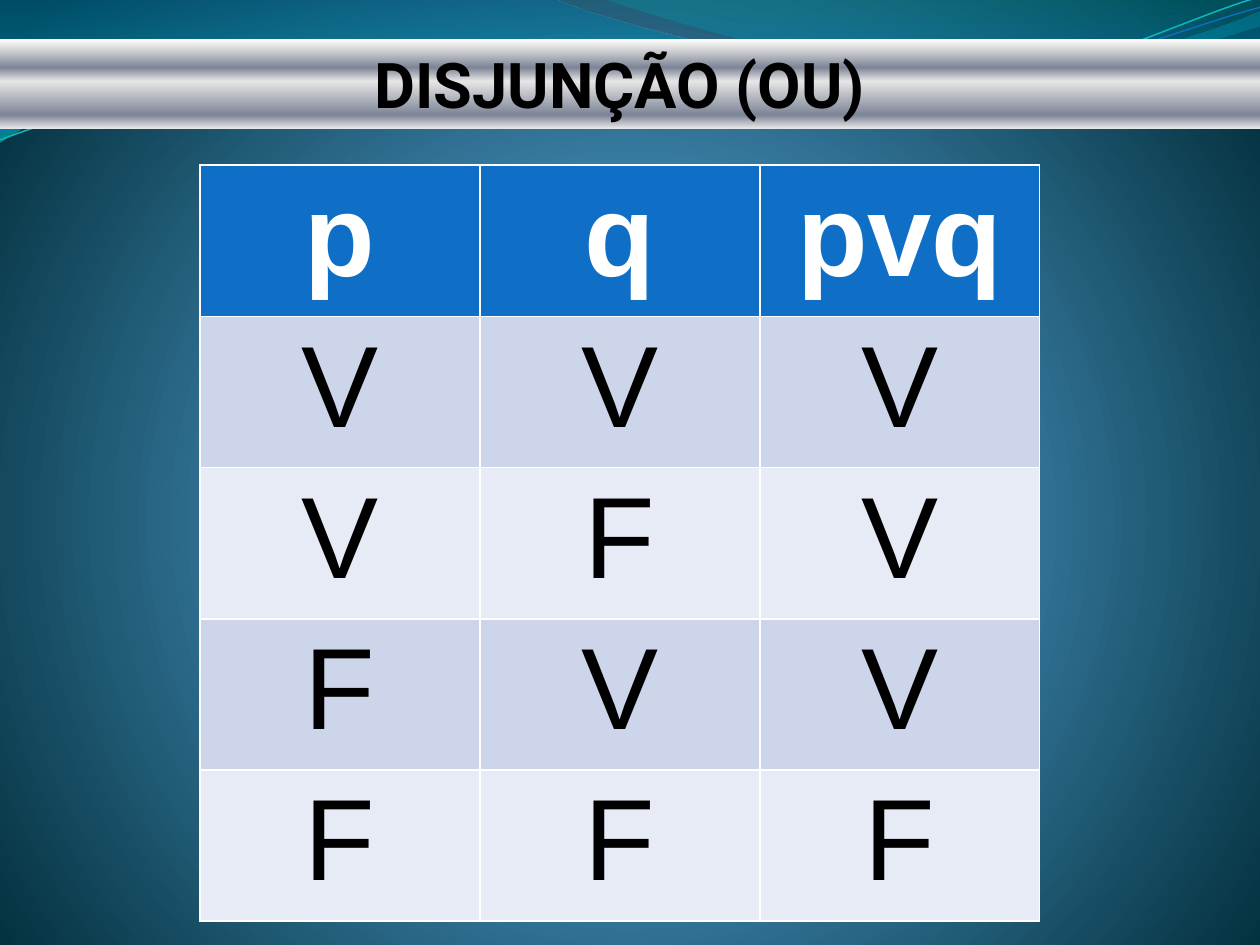
"""Build the truth-table slide for logical disjunction."""
from dataclasses import dataclass
from itertools import product
from math import cos, radians, sin

from lxml.etree import SubElement
from pptx import Presentation
from pptx.dml.color import RGBColor
from pptx.enum.shapes import MSO_SHAPE
from pptx.enum.text import MSO_ANCHOR, PP_ALIGN
from pptx.oxml.ns import qn
from pptx.util import Cm, Pt


@dataclass(frozen=True)
class Theme:
    black: str = "000000"
    white: str = "FFFFFF"
    header: str = "0F6FC6"
    bands: tuple = ("CCD5EA", "E7EBF5")
    teal: str = "0AB8BF"
    backdrop: tuple = ((0, "4AA0D6", 100), (25, "4C98C7", 100), (100, "002C38", 100))
    wide_wave: tuple = ((0, "0074A1", 45), (100, "00C6CF", 55))
    right_wave: tuple = ((0, "00A1A9", 30), (80, "008BBF", 45))
    metal: tuple = ((0, "FFFFFF", 100), (7, "E6E6E6", 100), (32, "7D8496", 100),
                    (47, "E6E6E6", 100), (85, "7D8496", 100), (100, "E6E6E6", 100))
    title_font: str = "Roboto"
    table_font: str = "Arial"
    title_size: int = 36
    table_size: int = 66


class SlideBuilder:
    def __init__(self, slide, theme):
        self.slide = slide
        self.theme = theme

    def gradient(self, owner, element, stops, center=None):
        owner.fill.solid()
        solid = element.find(".//" + qn("a:solidFill"))
        grad = solid.makeelement(qn("a:gradFill"), {"rotWithShape": "1"})
        stop_list = SubElement(grad, qn("a:gsLst"))
        for position, color, opacity in stops:
            stop = SubElement(stop_list, qn("a:gs"), pos=str(position * 1000))
            tint = SubElement(stop, qn("a:srgbClr"), val=color)
            if opacity < 100:
                SubElement(tint, qn("a:alpha"), val=str(opacity * 1000))
        if center:
            circle = SubElement(grad, qn("a:path"), {"path": "circle"})
            SubElement(circle, qn("a:fillToRect"),
                       {side: str(share * 1000) for side, share in zip("ltrb", center)})
        else:
            SubElement(grad, qn("a:lin"), ang="5400000", scaled="0")
        solid.getparent().replace(solid, grad)

    def background(self, stops, center):
        self.gradient(self.slide.background, self.slide.element, stops, center)

    def style_text(self, paragraph, text, font, size, color, bold):
        paragraph.text = text
        paragraph.alignment = PP_ALIGN.CENTER
        paragraph.font.name = font
        paragraph.font.size = Pt(size)
        paragraph.font.bold = bold
        paragraph.font.color.rgb = RGBColor.from_string(color)

    def outline(self, start, segments, closed):
        points = [start]
        for segment in segments:
            points += zip(segment[::2], segment[1::2])
        corners = [(Cm(x), Cm(y)) for x, y in points]
        builder = self.slide.shapes.build_freeform(*corners[0])
        builder.add_line_segments(corners[1:], close=closed)
        shape = builder.convert_to_shape()
        shape.shadow.inherit = False
        steps = iter(list(shape.element.iter(qn("a:lnTo"))))
        for segment in segments:
            step = next(steps)
            if len(segment) == 6:
                bend = step.makeelement(qn("a:cubicBezTo"), {})
                step.addprevious(bend)
                for knot in (step, next(steps), next(steps)):
                    bend.append(knot[0])
                    knot.getparent().remove(knot)
        return shape

    def wave(self, start, segments, stops):
        shape = self.outline(start, segments, True)
        self.gradient(shape, shape.element, stops)
        shape.line.fill.background()

    def ribbon(self, start, segments, pivot, color, width, tilt=2.7):
        def level(points):
            turned = []
            for x, y in zip(points[::2], points[1::2]):
                dx, dy = x - pivot[0], y - pivot[1]
                turned += [pivot[0] + dx * cos(radians(tilt)) - dy * sin(radians(tilt)),
                           pivot[1] + dx * sin(radians(tilt)) + dy * cos(radians(tilt))]
            return tuple(turned)

        shape = self.outline(level(start), [level(segment) for segment in segments], False)
        shape.rotation = 360 - tilt
        shape.fill.background()
        shape.line.color.rgb = RGBColor.from_string(color)
        shape.line.width = Pt(width)

    def title_bar(self, text, left, top, width, height):
        bar = self.slide.shapes.add_shape(
            MSO_SHAPE.RECTANGLE, Cm(left), Cm(top), Cm(width), Cm(height))
        bar.shadow.inherit = False
        bar.line.fill.background()
        self.gradient(bar, bar.element, self.theme.metal)
        bar.text_frame.vertical_anchor = MSO_ANCHOR.MIDDLE
        self.style_text(bar.text_frame.paragraphs[0], text, self.theme.title_font,
                        self.theme.title_size, self.theme.black, True)

    def truth_table(self, rows, left, top, width, height):
        theme = self.theme
        table = self.slide.shapes.add_table(
            len(rows), len(rows[0]), Cm(left), Cm(top), Cm(width), Cm(height)).table
        for row, column in product(range(len(rows)), range(len(rows[0]))):
            cell = table.cell(row, column)
            is_header = row == 0
            cell.fill.solid()
            cell.fill.fore_color.rgb = RGBColor.from_string(
                theme.header if is_header else theme.bands[(row - 1) % 2])
            self.style_text(cell.text_frame.paragraphs[0], rows[row][column],
                            theme.table_font, theme.table_size,
                            theme.white if is_header else theme.black, is_header)


theme = Theme()
deck = Presentation()
deck.slide_width, deck.slide_height = Cm(25.4), Cm(19.05)
page = SlideBuilder(deck.slides.add_slide(deck.slide_layouts[6]), theme)

page.background(theme.backdrop, (10, 110, 10, 100))
page.wave((0, 0), [
    (11.18, -0.03), (12.09, 0.43, 16.87, 1.6, 19.25, 1.6),
    (21.67, 1.6, 24.33, 0.66, 25.4, 0.23), (25.43, 0.91),
    (24.97, 1.12, 22.1, 1.93, 18.95, 1.91), (15.8, 1.91, 9.7, 0.71, 6.53, 0.86),
    (3.28, 0.91, 1.17, 2.11, -0.03, 2.87)], theme.wide_wave)
page.wave((12.17, -0.03), [
    (12.93, 0.28, 17.32, 1.57, 19.53, 1.65),
    (21.74, 1.75, 24.41, 0.81, 25.4, 0.53), (25.4, 0)], theme.right_wave)
page.ribbon((0, 2.82), [
    (1.22, 2.36, 4.01, 1.45, 7.04, 1.32), (10.03, 1.19, 15.06, 2.26, 18.11, 2.03),
    (21.16, 1.8, 23.83, 0.38, 25.35, -0.05)], (12.67, 1.46), theme.teal, 0.85)
page.ribbon((0, 2.64), [
    (1.19, 2.44, 4.17, 1.55, 7.19, 1.42), (10.24, 1.3, 15.16, 2.13, 18.21, 1.9),
    (21.23, 1.7, 23.9, 0.53, 25.4, 0.15)], (12.69, 1.5), theme.header, 0.75)
page.title_bar("DISJUNÇÃO (OU)", -1.4, 0.79, 27.79, 1.8)

truth_rows = [("p", "q", "pvq")]
for p, q in product("VF", repeat=2):
    truth_rows.append((p, q, "V" if "V" in (p, q) else "F"))
page.truth_table(truth_rows, 4.03, 3.33, 16.93, 15.24)

deck.save("out.pptx")
